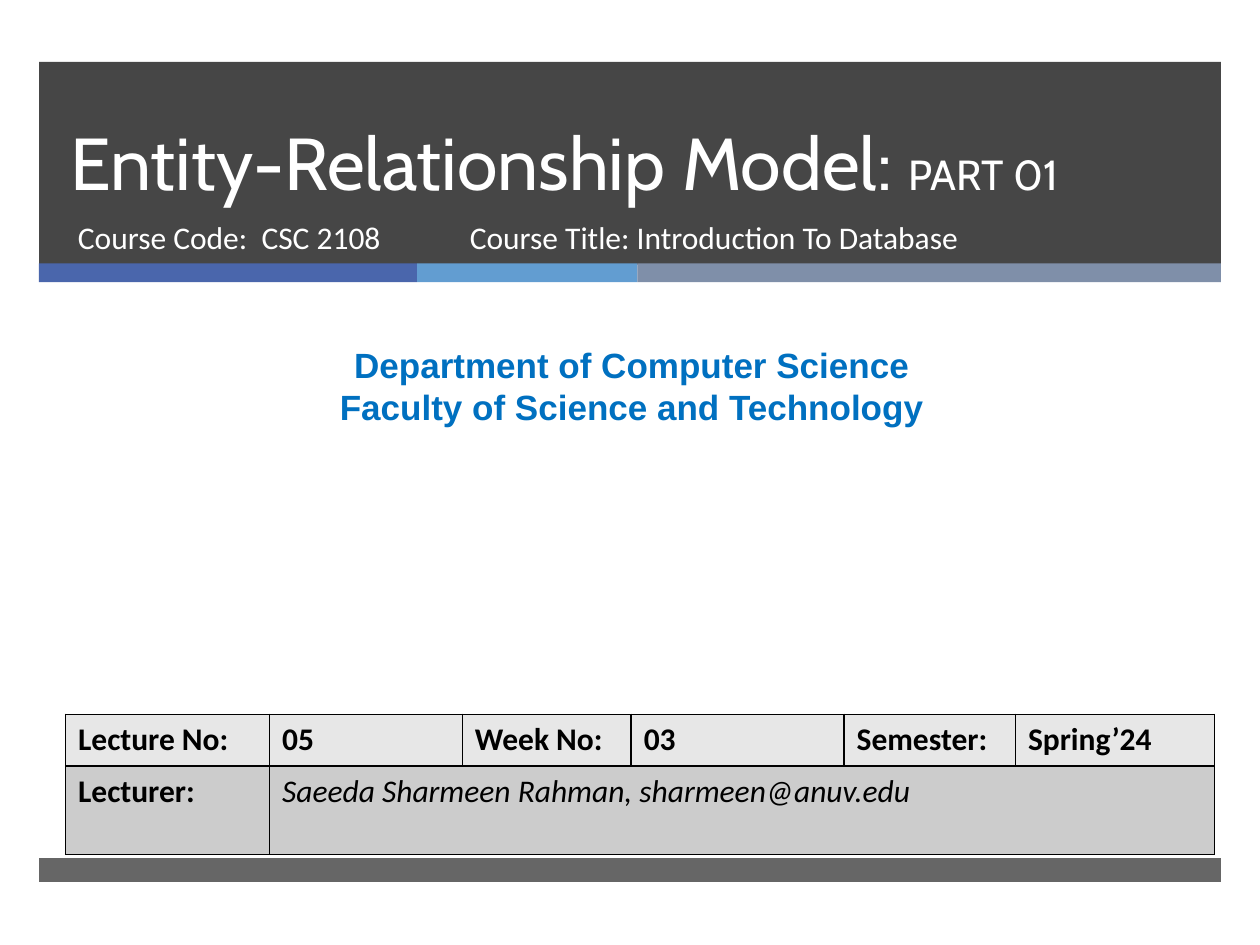
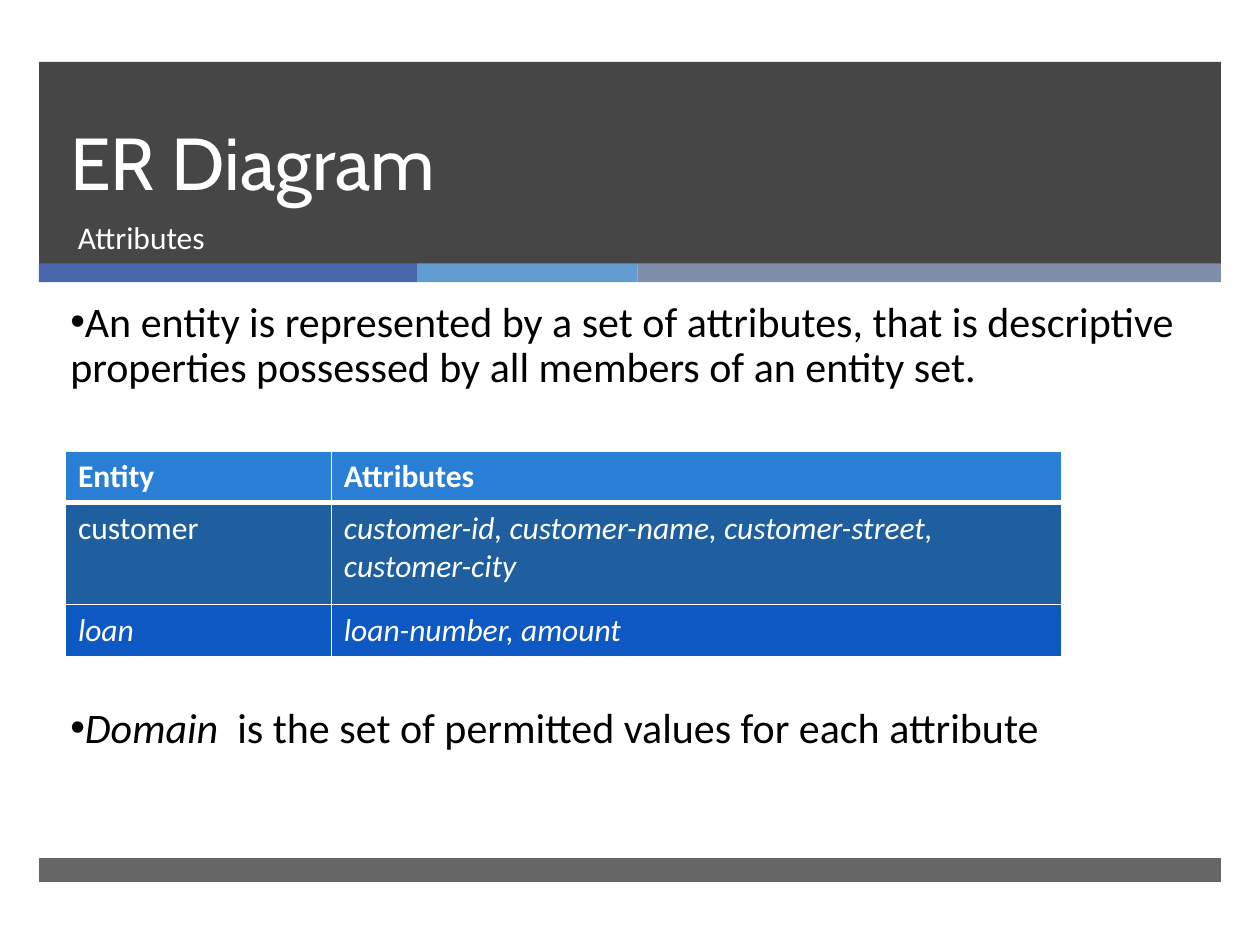
from lxml import etree
from pptx import Presentation
from pptx.dml.color import RGBColor
from pptx.enum.shapes import MSO_SHAPE
from pptx.enum.text import MSO_ANCHOR, PP_ALIGN
from pptx.oxml.ns import qn
from pptx.util import Emu, Pt

RECTANGLE = MSO_SHAPE.RECTANGLE
BOTTOM, TOP = MSO_ANCHOR.BOTTOM, MSO_ANCHOR.TOP
CENTER, LEFT = PP_ALIGN.CENTER, PP_ALIGN.LEFT

PX = 9144  # 100 px to the inch
COLORS = {
    "band": "262626", "white": "FFFFFF", "black": "000000",
    "stripe_blue": "4A66AC", "stripe_sky": "629DD1", "stripe_grey": "7F8FA9",
    "department": "0070C0", "lecture_row": "E7E7E7", "lecturer_row": "CCCCCC",
    "header_row": "297FD5", "customer_row": "1F5FA0", "loan_row": "0E58C4",
}
STRIPES = [(300, "stripe_blue"), (175, "stripe_sky"), (463, "stripe_grey")]
HEADER = (31, 49, 938, 161)
FOOTER = (31, 681, 938, 19)
BODY_FONT = "Calibri"


def px(*lengths):
    return [Emu(length * PX) for length in lengths]


def rgb(color):
    return RGBColor.from_string(COLORS[color])


def set_font(font, size, color, name=BODY_FONT, bold=False, italic=False):
    font.size, font.name = Pt(size), name
    font.bold, font.italic = bold, italic
    font.color.rgb = rgb(color)


def add_band(slide, box, color, opacity=100):
    band = slide.shapes.add_shape(RECTANGLE, *px(*box))
    band.shadow.inherit = False
    band.fill.solid()
    band.fill.fore_color.rgb = rgb(color)
    band.line.fill.background()
    if opacity < 100:
        srgb = band.fill._xPr.find(".//" + qn("a:srgbClr"))
        etree.SubElement(srgb, qn("a:alpha"), val=str(opacity * 1000))


def add_text(slide, box, lines, size, color, name=BODY_FONT, bold=False,
             align=LEFT, anchor=TOP):
    """Add a wrapped text box, one paragraph a line, and return its paragraphs."""
    frame = slide.shapes.add_textbox(*px(*box)).text_frame
    frame.word_wrap = True
    frame.vertical_anchor = anchor
    frame.text = "\n".join(lines)
    for paragraph in frame.paragraphs:
        paragraph.alignment = align
        set_font(paragraph.font, size, color, name, bold)
    return frame.paragraphs


def set_bullet(paragraph):
    properties = paragraph._p.get_or_add_pPr()
    properties.set("marL", "0")
    properties.set("indent", "0")
    etree.SubElement(properties, qn("a:buFont"), typeface="Arial")
    etree.SubElement(properties, qn("a:buChar"), char="•")
    # The schema wants the default run font after the bullet.
    default_font = properties.find(qn("a:defRPr"))
    if default_font is not None:
        properties.append(default_font)


def set_borders(cell, color, widths):
    """Draw the left, right, top and bottom borders with widths in points."""
    properties = cell._tc.get_or_add_tcPr()
    for position, (side, width) in enumerate(zip("LRTB", widths)):
        border = etree.Element(qn("a:ln" + side), w=str(Pt(width)))
        fill = etree.SubElement(border, qn("a:solidFill"))
        etree.SubElement(fill, qn("a:srgbClr"), val=COLORS[color])
        properties.insert(position, border)


def add_grid(slide, origin, columns, rows, text_color, border_color, header_rule=1):
    """Add a table; each row is (height, fill, cells), each cell (text, style)."""
    heights = [height for height, _, _ in rows]
    table = slide.shapes.add_table(
        len(rows), len(columns), *px(*origin, sum(columns), sum(heights))).table
    table.first_row = table.horz_banding = False
    for column, width in zip(table.columns, px(*columns)):
        column.width = width
    for r, (height, fill, cells) in enumerate(rows):
        table.rows[r].height = Emu(height * PX)
        rule_above = header_rule if r == 1 else 1
        rule_below = header_rule if r == 0 else 1
        for c in range(len(columns)):
            cell = table.cell(r, c)
            cell.fill.solid()
            cell.fill.fore_color.rgb = rgb(fill)
            set_borders(cell, border_color, (1, 1, rule_above, rule_below))
        for c, (text, style) in enumerate(cells):
            cell = table.cell(r, c)
            cell.text = text
            set_font(cell.text_frame.paragraphs[0].font, 18, text_color,
                     bold=style == "bold", italic=style == "italic")
        if len(cells) < len(columns):
            table.cell(r, len(cells) - 1).merge(table.cell(r, len(columns) - 1))


def add_frame(slide):
    add_band(slide, HEADER, "band", 85)
    left, top, _, height = HEADER
    for width, color in STRIPES:
        add_band(slide, (left, top + height - 1, width, 15), color)
        left += width
    add_band(slide, FOOTER, "band", 70)


def add_header_text(slide, title, subtitles, part=""):
    """Fill the header; each subtitle is (offset, width, text)."""
    left, top, _, _ = HEADER
    heading = add_text(slide, (left + 15, top, 854, 119), [title], 42, "white",
                       "Cabin", anchor=BOTTOM)[0]
    heading.line_spacing = Pt(46)
    if part:
        run = heading.add_run()
        run.text = part
        run.font.size = Pt(24)
    for offset, width, text in subtitles:
        add_text(slide, (left + offset, top + 119, width, 53), [text], 18, "white")


def add_framed_slide(deck):
    slide = deck.slides.add_slide(deck.slide_layouts[6])
    add_frame(slide)
    return slide


def build_cover(deck):
    slide = add_framed_slide(deck)
    add_header_text(slide, "Entity-Relationship Model: ", [
        (21, 305, "Course Code:  CSC 2108"),
        (332, 455, "Course Title: Introduction To Database"),
    ], part="PART 01")
    add_text(slide, (8, 268, 987, 77),
             ["Department of Computer Science", "Faculty of Science and Technology"],
             20, "department", "Arial", bold=True, align=CENTER)
    lecture = ["Lecture No:", "05", "Week No:", "03", "Semester:", "Spring’24"]
    add_grid(slide, (52, 567), [162, 153, 134, 169, 136, 158], [
        (41, "lecture_row", [(text, "bold") for text in lecture]),
        (70, "lecturer_row", [
            ("Lecturer:", "bold"),
            ("Saeeda Sharmeen Rahman, sharmeen@anuv.edu", "italic")]),
    ], "black", "black")


def build_attributes(deck):
    slide = add_framed_slide(deck)
    add_header_text(slide, "ER Diagram", [(21, 848, "Attributes")])
    entity, domain = add_text(slide, (46, 234, 900, 374), [
        "An entity is represented by a set of attributes, that is descriptive "
        "properties possessed by all members of an entity set.",
        "Domain",
    ], 24, "black")
    domain.runs[0].font.italic = True
    domain.add_run().text = "  is the set of permitted values for each attribute"
    domain.space_before = Pt(180)
    for point in (entity, domain):
        point.line_spacing = 0.9
        set_bullet(point)
    add_grid(slide, (52, 358), [211, 580], [
        (41, "header_row", [("Entity", "bold"), ("Attributes", "bold")]),
        (81, "customer_row", [
            ("customer", ""),
            ("customer-id, customer-name, customer-street, customer-city", "italic")]),
        (41, "loan_row", [("loan", "italic"), ("loan-number, amount", "italic")]),
    ], "white", "white", header_rule=3)


def main():
    deck = Presentation()
    deck.slide_width, deck.slide_height = px(1000, 750)
    build_cover(deck)
    build_attributes(deck)
    deck.save("out.pptx")


if __name__ == "__main__":
    main()
